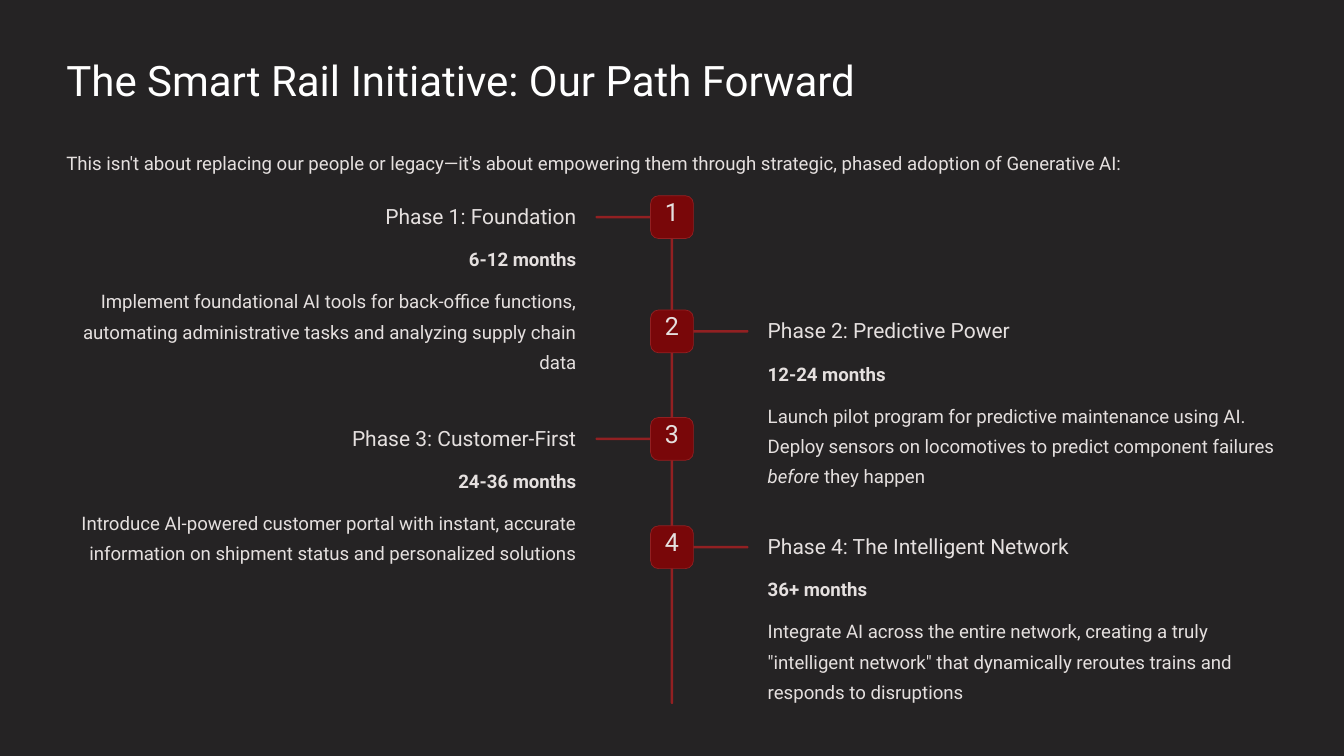
import collections
import dataclasses

import pptx
import pptx.dml.color
import pptx.enum.shapes
import pptx.enum.text
import pptx.util

ALIGN = pptx.enum.text.PP_ALIGN
Box = collections.namedtuple("Box", "x y w h")
Style = collections.namedtuple("Style", "size leading color")

# The slide is a grid of 16 columns by 9 rows
COLS, ROWS = 16, 9
CELL = pptx.util.Inches(1)


@dataclasses.dataclass(frozen=True)
class Theme:
    font: str = "Roboto"
    background: str = "252324"
    line: str = "922022"
    badge: str = "790709"
    title: Style = Style(36, 45, "FFFFFF")
    heading: Style = Style(18, 22.5, "E5E0DF")
    body: Style = Style(16, 26, "E5E0DF")
    number: Style = Style(21.5, 21.5, "E5E0DF")


THEME = Theme()

# Top row, heading, duration, and description as (text, italic) runs
PHASES = [
    (2.33, "Phase 1: Foundation", "6-12 months", [
        ("Implement foundational AI tools for back-office functions, "
         "automating administrative tasks and analyzing supply chain data", False)]),
    (3.69, "Phase 2: Predictive Power", "12-24 months", [
        ("Launch pilot program for predictive maintenance using AI. "
         "Deploy sensors on locomotives to predict component failures ", False),
        ("before", True),
        (" they happen", False)]),
    (4.97, "Phase 3: Customer-First", "24-36 months", [
        ("Introduce AI-powered customer portal with instant, accurate "
         "information on shipment status and personalized solutions", False)]),
    (6.26, "Phase 4: The Intelligent Network", "36+ months", [
        ("Integrate AI across the entire network, creating a truly "
         "\"intelligent network\" that dynamically reroutes trains and "
         "responds to disruptions", False)]),
]


def rgb(value):
    return pptx.dml.color.RGBColor.from_string(value)


def place(box):
    return [round(v * CELL) for v in box]


def add_text(s, box, runs, style, align=ALIGN.LEFT, bold=False):
    tf = s.shapes.add_textbox(*place(box)).text_frame
    tf.margin_left = tf.margin_right = tf.margin_top = tf.margin_bottom = 0
    tf.word_wrap = True
    p = tf.paragraphs[0]
    p.alignment = align
    p.line_spacing = pptx.util.Pt(style.leading)
    for text, italic in runs:
        r = p.add_run()
        r.text = text
        r.font.name = THEME.font
        r.font.size = pptx.util.Pt(style.size)
        r.font.color.rgb = rgb(style.color)
        r.font.bold = bold
        r.font.italic = italic


def add_bar(s, box, fill, radius=0.5, outline=None):
    sp = s.shapes.add_shape(
        pptx.enum.shapes.MSO_SHAPE.ROUNDED_RECTANGLE, *place(box))
    sp.adjustments[0] = radius
    sp.shadow.inherit = False
    sp.fill.solid()
    sp.fill.fore_color.rgb = rgb(fill)
    if outline:
        sp.line.color.rgb = rgb(outline)
        sp.line.width = pptx.util.Pt(0.6)
    else:
        sp.line.fill.background()


def add_header(s, box):
    add_text(s, Box(box.x, box.y, box.w, 0.63),
             [("The Smart Rail Initiative: Our Path Forward", False)], THEME.title)
    add_text(s, Box(box.x, box.y + 1.09, box.w, 0.36),
             [("This isn't about replacing our people or legacy—it's about "
               "empowering them through strategic, phased adoption of "
               "Generative AI:", False)], THEME.body)


def add_phase(s, box, number, on_left, heading, duration, description):
    center = box.x + box.w / 2
    text_w, arm_w, badge = 6.07, 0.68, 0.51

    # Arm and numbered badge on the spine
    arm_x = center - 0.91 if on_left else center + 0.91 - arm_w
    add_bar(s, Box(arm_x, box.y + 0.24, arm_w, 0.03), THEME.line)
    add_bar(s, Box(center - badge / 2, box.y, badge, badge),
            THEME.badge, 0.187, THEME.line)
    add_text(s, Box(center - 0.15, box.y + 0.07, 0.3, 0.38),
             [(str(number), False)], THEME.number, ALIGN.CENTER)

    # Text column, aligned towards the spine
    x = box.x if on_left else box.x + box.w - text_w
    align = ALIGN.RIGHT if on_left else ALIGN.LEFT
    add_text(s, Box(x, box.y + 0.08, text_w, 0.32),
             [(heading, False)], THEME.heading, align)
    add_text(s, Box(x, box.y + 0.53, text_w, 0.36),
             [(duration, False)], THEME.body, align, bold=True)
    add_text(s, Box(x, box.y + 1.03, text_w, box.h - 1.03),
             description, THEME.body, align)


def add_timeline(s, box):
    add_bar(s, Box(box.x + box.w / 2 - 0.015, box.y, 0.03, box.h), THEME.line)
    for number, (top, *content) in enumerate(PHASES, 1):
        add_phase(s, Box(box.x, top, box.w, 2.12), number,
                  number % 2 == 1, *content)


def main():
    prs = pptx.Presentation()
    prs.slide_width, prs.slide_height = COLS * CELL, ROWS * CELL
    s = prs.slides.add_slide(prs.slide_layouts[6])
    s.background.fill.solid()
    s.background.fill.fore_color.rgb = rgb(THEME.background)

    margin = 0.79
    width = COLS - 2 * margin
    add_header(s, Box(margin, 0.62, width, 1.45))
    add_timeline(s, Box(margin, PHASES[0][0], width, 6.05))
    prs.save("out.pptx")


if __name__ == "__main__":
    main()
